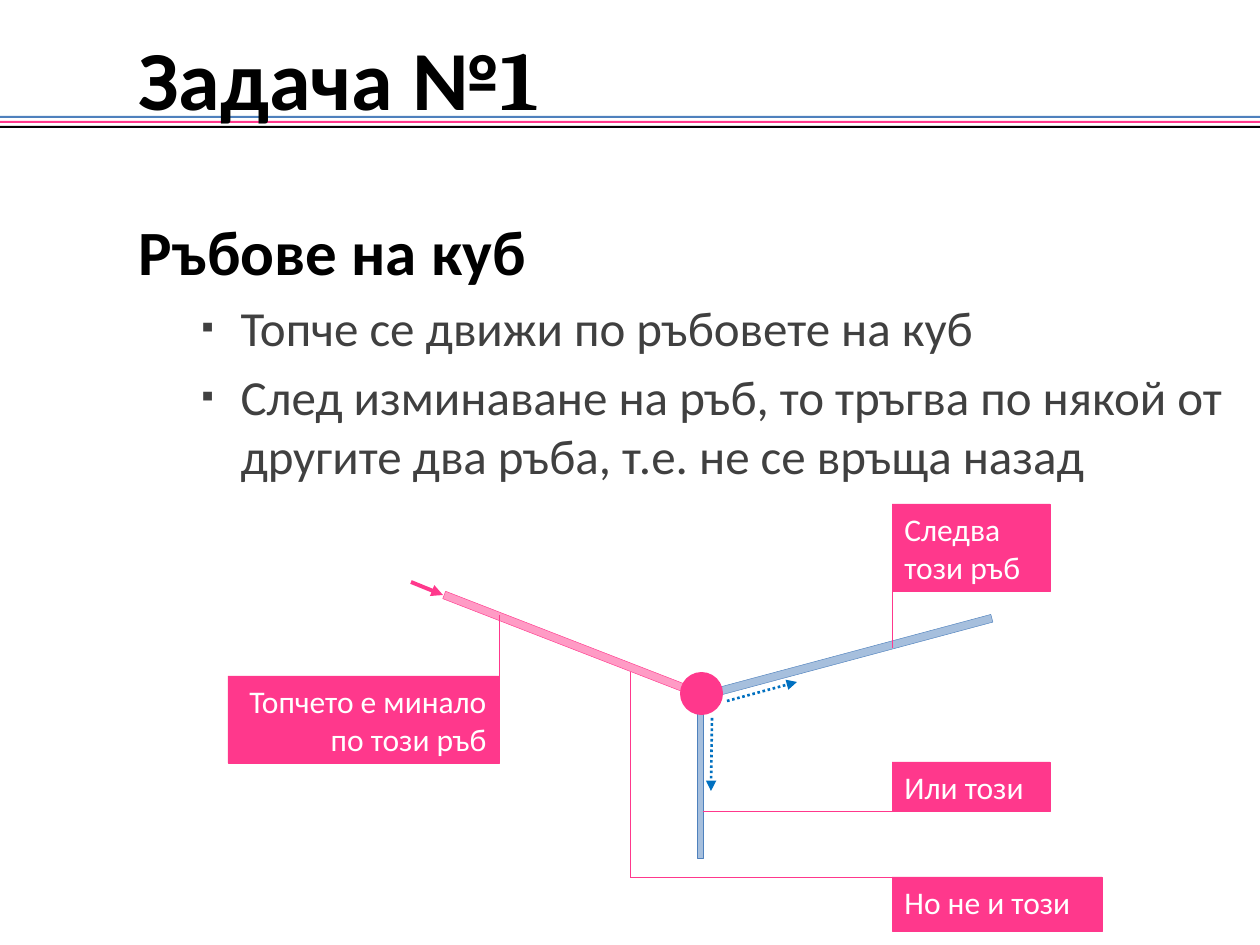
from lxml import etree
from pptx import Presentation
from pptx.dml.color import RGBColor
from pptx.enum.dml import MSO_LINE
from pptx.enum.shapes import MSO_CONNECTOR, MSO_SHAPE as SHAPE
from pptx.enum.text import MSO_ANCHOR, MSO_AUTO_SIZE, PP_ALIGN
from pptx.oxml.ns import qn
from pptx.util import Pt

PX = 914400 / 126
C = {"pink": "FF388C", "blue": "4F81BD", "arrow": "0070C0",
     "black": "000000", "grey": "404040", "white": "FFFFFF"}


def add_box(kind, box, color, line=True, alpha=None, rot=0):
    s = slide.shapes.add_shape(kind, *[int(v * PX) for v in box])
    s.shadow.inherit = False
    s.rotation = rot
    s.fill.solid()
    s.fill.fore_color.rgb = RGBColor.from_string(C[color])
    if alpha:
        clr = s.fill._xPr.find(qn("a:solidFill"))[0]
        etree.SubElement(clr, qn("a:alpha"), val=str(alpha * 1000))
    if line:
        s.line.color.rgb = RGBColor.from_string(C[color])
        s.line.width = Pt(0.25)
    else:
        s.line.fill.background()
    return s


def add_line(ends, color="pink", width=0.25, arrow=False, dash=None):
    s = slide.shapes.add_connector(MSO_CONNECTOR.STRAIGHT, *[int(v * PX) for v in ends])
    s.line.color.rgb = RGBColor.from_string(C[color])
    s.line.width = Pt(width)
    if dash:
        s.line.dash_style = dash
    if arrow:
        etree.SubElement(s.line._get_or_add_ln(), qn("a:tailEnd"), type="triangle")
    etree.SubElement(s._element.spPr, qn("a:effectLst"))


prs = Presentation()
prs.slide_width, prs.slide_height = int(1260 * PX), int(945 * PX)
slide = prs.slides.add_slide(prs.slide_layouts[1])
title, body = slide.shapes.title, slide.placeholders[1]

# Header stripes, behind the title
for i, color in enumerate(["blue", "pink", "black"]):
    s = add_box(SHAPE.RECTANGLE, (0, 116 + 5 * i, 1260, 2), color, line=False)
    slide.shapes._spTree.insert(2 + i, s._element)

# Title and body frames
for s, box in [(title, (0, 32, 1260, 89)), (body, (126, 168, 1124, 766))]:
    s.left, s.top, s.width, s.height = [int(v * PX) for v in box]
    s.text_frame.auto_size = MSO_AUTO_SIZE.NONE
    s.text_frame.word_wrap = True

# Title
tf = title.text_frame
tf.vertical_anchor = MSO_ANCHOR.MIDDLE
p = tf.paragraphs[0]
p.alignment = PP_ALIGN.LEFT
p._p.get_or_add_pPr().set("marL", str(int(126 * PX)))
for text, font in [("Задача №", "Calibri"), ("1", "Cambria")]:
    r = p.add_run()
    r.text = text
    for name, value in {"name": font, "size": Pt(48), "bold": True}.items():
        setattr(r.font, name, value)
    r.font.color.rgb = RGBColor.from_string(C["black"])

# Heading and bullets
rows = [
    ("Ръбове на куб", 0),
    ("Топче се движи по ръбовете на куб", 1),
    ("След изминаване на ръб, то тръгва по някой от другите два ръба, "
     "т.е. не се връща назад", 1),
]
levels = [
    {"size": Pt(36), "bold": True, "color": "black", "margin": 0, "indent": 0},
    {"size": Pt(28), "bold": False, "color": "grey", "margin": 102, "indent": -39},
]
tf = body.text_frame
for i, (text, level) in enumerate(rows):
    fmt = levels[level]
    p = tf.paragraphs[0] if i == 0 else tf.add_paragraph()
    p.level = level
    r = p.add_run()
    r.text = text
    r.font.name = "Calibri"
    for name in ("size", "bold"):
        setattr(r.font, name, fmt[name])
    r.font.color.rgb = RGBColor.from_string(C[fmt["color"]])
    if level == 0:
        p.line_spacing = 1.5
    pPr = p._p.get_or_add_pPr()
    pPr.set("marL", str(int(fmt["margin"] * PX)))
    pPr.set("indent", str(int(fmt["indent"] * PX)))
    if level:
        clr = etree.SubElement(pPr, qn("a:buClr"))
        etree.SubElement(clr, qn("a:srgbClr"), val=C["grey"])
        etree.SubElement(pPr, qn("a:buSzPct"), val="70000")
        etree.SubElement(pPr, qn("a:buFont"), typeface="Calibri")
        etree.SubElement(pPr, qn("a:buChar"), char="▪")
    else:
        etree.SubElement(pPr, qn("a:buNone"))

# Cube edges meeting at the ball
for box, color, rot in [
    ((435, 640, 271, 8), "pink", 21.2),
    ((616, 771, 169, 6), "blue", 90),
    ((698, 653, 299, 8), "blue", 345),
]:
    add_box(SHAPE.RECTANGLE, box, color, alpha=50, rot=rot)
add_box(SHAPE.OVAL, (680, 672, 43, 43), "pink", line=False)

# Labels with their leader lines
labels = [
    ("Топчето е минало по този ръб", (228, 676, 271, 87), PP_ALIGN.RIGHT,
     [(499, 763, 499, 615)]),
    ("Следва този ръб", (892, 504, 158, 87), PP_ALIGN.LEFT, [(892, 648, 892, 504)]),
    ("Или този", (892, 762, 158, 49), PP_ALIGN.LEFT, [(703, 811, 1050, 811)]),
    ("Но не и този", (892, 877, 210, 54), PP_ALIGN.LEFT,
     [(630, 877, 630, 672), (1102, 877, 630, 877)]),
]
for text, box, align, leaders in labels:
    tf = add_box(SHAPE.RECTANGLE, box, "pink").text_frame
    tf.word_wrap = True
    tf.vertical_anchor = MSO_ANCHOR.TOP
    p = tf.paragraphs[0]
    p.alignment = align
    r = p.add_run()
    r.text = text
    r.font.name, r.font.size = "Calibri", Pt(18)
    r.font.color.rgb = RGBColor.from_string(C["white"])
    for ends in leaders:
        add_line(ends)

# Direction arrows
add_line((411, 582, 443, 595), width=2.25, arrow=True)
for ends in [(727, 701, 797, 682), (712, 718, 711, 791)]:
    add_line(ends, "arrow", 1.5, arrow=True, dash=MSO_LINE.ROUND_DOT)

prs.save("out.pptx")
